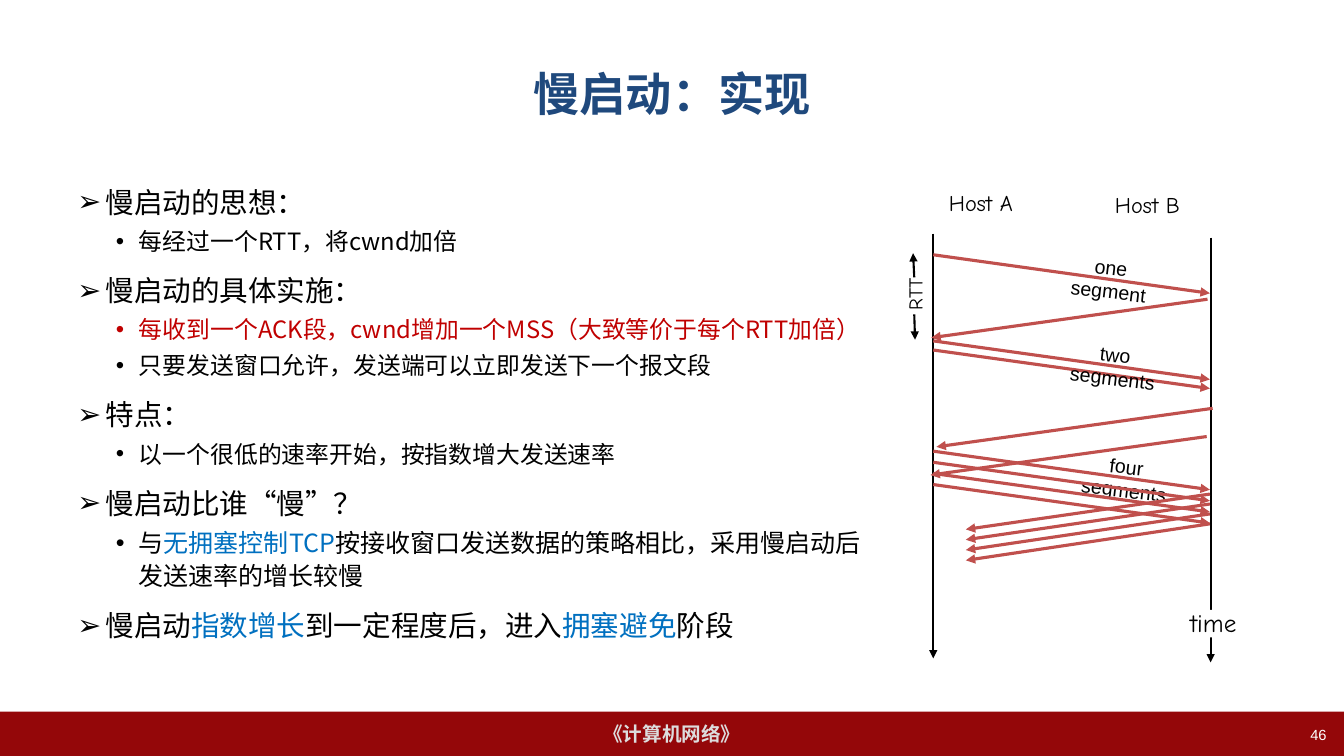
from dataclasses import dataclass

from lxml.etree import SubElement
from pptx import Presentation
from pptx.dml.color import RGBColor
from pptx.enum.lang import MSO_LANGUAGE_ID as Lang
from pptx.enum.shapes import MSO_CONNECTOR as Conn, MSO_SHAPE as Kind
from pptx.enum.text import MSO_ANCHOR as Anchor, PP_ALIGN as Align
from pptx.oxml.ns import qn
from pptx.util import Cm, Pt

HAN, SANS, HAND = "Noto Sans CJK SC", "Arial", "Comic Neue"
BLACK, WHITE, RED, BLUE = "000000", "FFFFFF", "C00000", "0070C0"
ROSE = "C0504D"
LEFT, RIGHT, DROP = 23.52, 30.49, 0.97


@dataclass
class Item:
    runs: list[tuple[str, str]]
    sub: bool = False
    size: float = 20.4


@dataclass
class Arrow:
    x1: float
    y1: float
    x2: float
    y2: float
    color: str = ROSE
    width: float = 2.25


@dataclass
class Label:
    text: str
    box: tuple[float, float, float, float]
    size: float = 16
    face: str = HAND
    turn: float = 0
    wrap: bool = False


def paint(font, color: str) -> None:
    font.color.rgb = RGBColor.from_string(color)


def write(para, text: str, *, size: float, color: str = BLACK, face: str = HAN,
          bold: bool = False, align=None) -> None:
    if align is not None:
        para.alignment = align
    run = para.add_run()
    run.text = text
    font = run.font
    font.size, font.name, font.bold = Pt(size), face, bold
    if any(ord(sign) > 127 for sign in text):
        font.language_id = Lang.SIMPLIFIED_CHINESE
    paint(font, color)
    SubElement(run._r.get_or_add_rPr(), qn("a:ea"), typeface=HAN)


def frame(slide, box: tuple[float, float, float, float], wrap: bool = True):
    shape = slide.shapes.add_textbox(*map(Cm, box))
    shape.text_frame.word_wrap = wrap
    return shape


def block(slide, box: tuple[float, float, float, float], color: str):
    shape = slide.shapes.add_shape(Kind.RECTANGLE, *map(Cm, box))
    shape.shadow.inherit = False
    shape.fill.solid()
    shape.fill.fore_color.rgb = RGBColor.from_string(color)
    shape.line.fill.background()
    return shape


def draw(slide, arrow: Arrow) -> None:
    ends = map(Cm, (arrow.x1, arrow.y1, arrow.x2, arrow.y2))
    link = slide.shapes.add_connector(Conn.STRAIGHT, *ends)
    paint(link.line, arrow.color)
    link.line.width = Pt(arrow.width)
    SubElement(link.line._get_or_add_ln(), qn("a:tailEnd"), type="triangle")
    SubElement(link._element.spPr, qn("a:effectLst"))


def tag(slide, label: Label) -> None:
    shape = frame(slide, label.box, label.wrap)
    shape.rotation = label.turn
    text = shape.text_frame
    if label.wrap:
        text.margin_left = text.margin_right = Cm(0.55)
    write(text.paragraphs[0], label.text, size=label.size, face=label.face,
          align=Align.CENTER)


def outline(slide, items: list[Item]) -> None:
    text = frame(slide, (1.7, 4.45, 20.6, 12.57)).text_frame
    for rank, item in enumerate(items):
        para = text.add_paragraph() if rank else text.paragraphs[0]
        props = para._p.get_or_add_pPr()
        props.set("marL", str(Cm(1.55 if item.sub else 0.71)))
        props.set("indent", str(Cm(-0.58 if item.sub else -0.71)))
        SubElement(props, qn("a:buFont"), typeface=SANS)
        SubElement(props, qn("a:buChar"), char="•" if item.sub else "➢")
        para.level = int(item.sub)
        para.line_spacing = 1.1
        if rank:
            para.space_before = Pt(3.4 if item.sub else 10.2)
        for words, color in item.runs:
            write(para, words, size=item.size, color=color)


ITEMS = [
    Item([("慢启动的思想：", BLACK)]),
    Item([("每经过一个RTT，将cwnd加倍", BLACK)], True, 17),
    Item([("慢启动的具体实施：", BLACK)]),
    Item([("每收到一个ACK段，cwnd增加一个MSS（大致等价于每个RTT加倍）", RED)], True, 17),
    Item([("只要发送窗口允许，发送端可以立即发送下一个报文段", BLACK)], True, 17),
    Item([("特点：", BLACK)]),
    Item([("以一个很低的速率开始，按指数增大发送速率", BLACK)], True, 17),
    Item([("慢启动比谁“慢”？", BLACK)]),
    Item([("与", BLACK), ("无拥塞控制TCP", BLUE),
          ("按接收窗口发送数据的策略相比，采用慢启动后发送速率的增长较慢", BLACK)], True, 17.9),
    Item([("慢启动", BLACK), ("指数增长", BLUE), ("到一定程度后，进入", BLACK),
          ("拥塞避免", BLUE), ("阶段", BLACK)]),
]
AXES = [
    Arrow(LEFT, 5.89, LEFT, 16.59, BLACK, 1.5),
    Arrow(30.51, 5.99, 30.51, 16.69, BLACK, 1.5),
    Arrow(23.04, 6.99, 23.01, 6.38, BLACK, 1.5),
    Arrow(23.04, 7.92, 23.06, 8.56, BLACK, 1.5),
]
FIRST = [Arrow(LEFT, y, RIGHT, y + DROP) for y in (6.42, 8.59, 8.82)]
ACKS = [Arrow(x, y, x - 6.96, y + DROP)
        for x, y in ((30.43, 7.54), (30.56, 10.29), (30.41, 11))]
BURST = [Arrow(LEFT, 11.37 + 0.28 * n, RIGHT, 11.37 + 0.28 * n + DROP)
         for n in range(4)]
BACK = [Arrow(RIGHT, 12.45 + 0.25 * n, 24.34, 13.34 + 0.26 * n) for n in range(4)]
LABELS = [
    Label("Host A", (23.54, 4.65, 2.36, 0.94)),
    Label("Host B", (27.76, 4.7, 2.31, 0.94)),
    Label("RTT", (22.3, 6.99, 1.5, 0.84), 14, turn=270),
    Label("one segment", (26.33, 6.32, 3.35, 0.84), 14, SANS, 6.8, True),
    Label("two segments", (26.33, 8.51, 3.56, 0.84), 14, SANS, 6.8, True),
    Label("four segments", (26.58, 11.33, 3.63, 0.84), 14, SANS, 6.8, True),
    Label("time", (29.66, 15.18, 1.83, 1.02), 18),
]


def main() -> None:
    deck = Presentation()
    deck.slide_width, deck.slide_height = Cm(33.87), Cm(19.05)
    slide = deck.slides.add_slide(deck.slide_layouts[5])

    title = slide.shapes.title
    title.left, title.top, title.width, title.height = map(Cm, (1.7, 0.76, 30.48, 3.18))
    title.text_frame.vertical_anchor = Anchor.MIDDLE
    write(title.text_frame.paragraphs[0], "慢启动：实现", size=33, color="1F497D",
          face=SANS, bold=True, align=Align.CENTER)

    foot = block(slide, (0, 17.93, 33.87, 1.12), "940709").text_frame
    foot.vertical_anchor = Anchor.MIDDLE
    foot.word_wrap = False
    write(foot.paragraphs[0], "《计算机网络》", size=14, color="DDDDDD", face=SANS,
          bold=True, align=Align.CENTER)
    page = frame(slide, (25.78, 18.16, 7.9, 0.89)).text_frame
    write(page.paragraphs[0], "46", size=10.5, color=WHITE, face=SANS,
          align=Align.RIGHT)

    outline(slide, ITEMS)
    for arrow in AXES + FIRST + ACKS:
        draw(slide, arrow)
    block(slide, (29.82, 15.37, 1.42, 0.69), WHITE)
    for label in LABELS:
        tag(slide, label)
    for arrow in BURST + BACK:
        draw(slide, arrow)
    deck.save("out.pptx")


if __name__ == "__main__":
    main()
